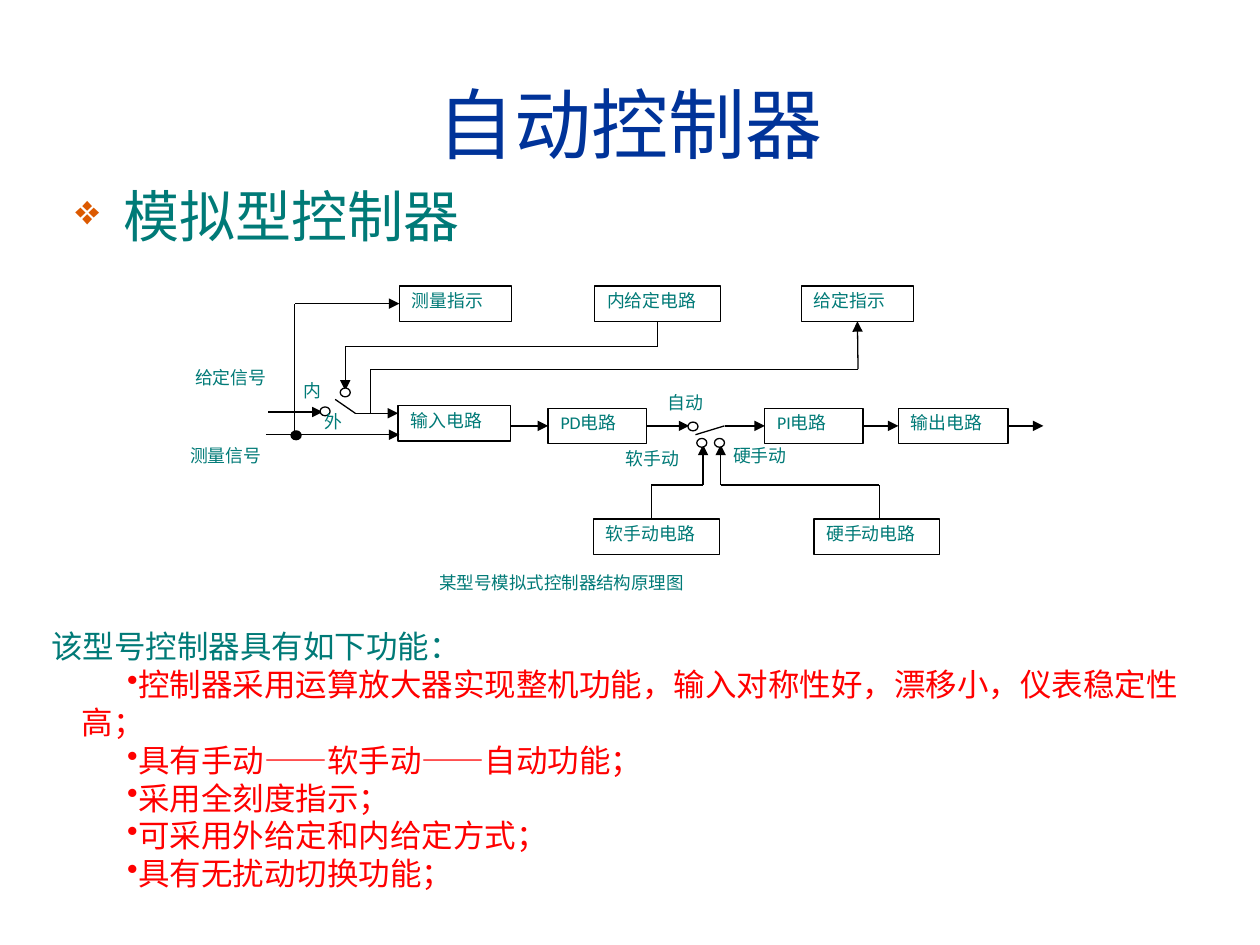
import pptx
import pptx.util
import pptx.dml.color
import pptx.enum.shapes
import pptx.enum.text
import pptx.oxml
import pptx.oxml.ns

# The slide is a grid of 1000 columns by 750 rows; all lengths are in cells
COLS, ROWS = 1000, 750
CELL = pptx.util.Inches(0.01)
TEAL, NAVY, ORANGE, RED = "007A77", "003399", "DC5900", "FF0000"
BLACK, WHITE = "000000", "FFFFFF"
SHAPE = pptx.enum.shapes.MSO_SHAPE
ALIGN = pptx.enum.text.PP_ALIGN
ANCHOR = pptx.enum.text.MSO_ANCHOR
BOX_H = 28


def cells(*values):
    return [round(v * CELL) for v in values]


def color(value):
    return pptx.dml.color.RGBColor.from_string(value)


def add_xml(parent, tag, **attrs):
    el = pptx.oxml.parse_xml(f"<a:{tag} {pptx.oxml.ns.nsdecls('a')}/>")
    for name, value in attrs.items():
        el.set(name, str(value))
    parent.append(el)
    return el


def write(tf, text, size=10.2, font="Calibri", fill=TEAL, align=ALIGN.JUSTIFY,
          spacing=None, bullet=None, bullet_fill=None, bullet_size=None,
          margin=0, indent=0, new=False):
    """Write one paragraph into a text frame."""
    p = tf.add_paragraph() if new else tf.paragraphs[0]
    p.alignment = align
    if spacing:
        p.line_spacing = spacing
    if bullet:
        ppr = p._p.get_or_add_pPr()
        left, first = cells(margin, indent)
        ppr.set("marL", str(left))
        ppr.set("indent", str(first))
        add_xml(add_xml(ppr, "buClr"), "srgbClr", val=bullet_fill)
        if bullet_size:
            add_xml(ppr, "buSzPct", val=bullet_size * 1000)
        add_xml(ppr, "buChar", char=bullet)
    r = p.add_run()
    r.text = text
    r.font.size = pptx.util.Pt(size)
    r.font.name = font
    r.font.color.rgb = color(fill)


def text_box(shapes, x, y, w, h, text, anchor=ANCHOR.TOP, **fmt):
    tf = shapes.add_textbox(*cells(x, y, w, h)).text_frame
    tf.word_wrap = True
    tf.vertical_anchor = anchor
    write(tf, text, **fmt)
    return tf


def outlined(shapes, kind, x, y, w, h, fill=WHITE):
    sp = shapes.add_shape(kind, *cells(x, y, w, h))
    sp.shadow.inherit = False
    sp.fill.solid()
    sp.fill.fore_color.rgb = color(fill)
    sp.line.color.rgb = color(BLACK)
    sp.line.width = pptx.util.Pt(0.75)
    return sp


def block(shapes, x, y, w, text, align=ALIGN.JUSTIFY):
    sp = outlined(shapes, SHAPE.RECTANGLE, x, y, w, BOX_H)
    sp.text_frame.word_wrap = True
    sp.text_frame.vertical_anchor = ANCHOR.TOP
    write(sp.text_frame, text, spacing=0.9, align=align)
    return sp


def contact(shapes, x, y, fill=WHITE):
    outlined(shapes, SHAPE.OVAL, x, y, 8, 7, fill)


def locate(end):
    """Position of an end: grid point (x, y) or (shape, side)."""
    sp, side = end
    if isinstance(sp, int):
        return cells(*end)
    dx, dy = [(0.5, 0), (0, 0.5), (0.5, 1), (1, 0.5)][side]
    return round(sp.left + dx * sp.width), round(sp.top + dy * sp.height)


def wire(shapes, *ends, arrow=True):
    """Chain of straight connectors, with an arrowhead on the last one."""
    for i, (a, b) in enumerate(zip(ends, ends[1:]), start=2):
        cx = shapes.add_connector(pptx.enum.shapes.MSO_CONNECTOR.STRAIGHT,
                                  *locate(a), *locate(b))
        if not isinstance(a[0], int):
            cx.begin_connect(*a)
        if not isinstance(b[0], int):
            cx.end_connect(*b)
        cx.line.color.rgb = color(BLACK)
        cx.line.width = pptx.util.Pt(0.75)
        if arrow and i == len(ends):
            add_xml(cx.line._get_or_add_ln(), "tailEnd", type="triangle")
        add_xml(cx._element.spPr, "effectLst")


def diagram(shapes):
    # Blocks: indicators on top, main chain, manual circuits below
    top, main_row, bottom = 227, 324, 412
    measured = block(shapes, 317, top, 89, "测量指示")
    inner = block(shapes, 472, top, 100, "内给定电路", ALIGN.LEFT)
    given = block(shapes, 636, top, 89, "给定指示")
    block(shapes, 316, main_row - 2, 89, "输入电路")
    pd = block(shapes, 435, main_row, 78, "PD电路")
    pi = block(shapes, 607, main_row, 78, "PI电路")
    output = block(shapes, 713, main_row, 87, "输出电路")
    block(shapes, 471, bottom, 100, "软手动电路", ALIGN.LEFT)
    block(shapes, 646, bottom, 100, "硬手动电路", ALIGN.LEFT)

    # Input signals and indicator wires
    wire(shapes, (211, 345), (317, 345))
    wire(shapes, (282, 328), (316, 328))
    wire(shapes, (213, 327), (256, 327))
    wire(shapes, (234, 345), (234, 241), (measured, 1))
    wire(shapes, (inner, 2), (522, 275), (274, 275), (274, 310))
    wire(shapes, (294, 328), (294, 293), (681, 293), (given, 2))

    # Main chain
    mid = main_row + BOX_H // 2
    wire(shapes, (405, mid), (pd, 1))
    wire(shapes, (pd, 3), (547, mid))
    wire(shapes, (575, mid), (pi, 1))
    wire(shapes, (pi, 3), (output, 1))
    wire(shapes, (output, 3), (828, mid))

    # Manual circuits
    for start, end in ((517, 558), (698, 572)):
        wire(shapes, (start, bottom), (start, 385), (end, 385), (end, 353))

    # Switches and junction
    for x, y in ((270, 308), (254, 323), (546, 335), (553, 348), (567, 348)):
        contact(shapes, x, y)
    wire(shapes, (575, mid), (552, 345), arrow=False)
    wire(shapes, (282, 328), (266, 317), arrow=False)
    contact(shapes, 231, 342, BLACK)

    # Labels
    for x, y, w, text in ((145, 288, 89, "给定信号"), (141, 350, 89, "测量信号"),
                          (231, 298, 34, "内"), (248, 323, 34, "外"),
                          (520, 308, 55, "自动"), (487, 352, 74, "软手动"),
                          (572, 350, 74, "硬手动")):
        text_box(shapes, x, y, w, BOX_H, text, spacing=0.9)
    text_box(shapes, 339, 452, 342, BOX_H, "某型号模拟式控制器结构原理图",
             size=10, spacing=0.8)


def main():
    prs = pptx.Presentation()
    prs.slide_width, prs.slide_height = cells(COLS, ROWS)
    s = prs.slides.add_slide(prs.slide_layouts[6])

    # Headings
    text_box(s.shapes, 16, 54, 969, 87, "自动控制器", anchor=ANCHOR.MIDDLE,
             size=44, font="Arial", fill=NAVY, align=ALIGN.CENTER)
    text_box(s.shapes, 50, 139, 903, 70, "模拟型控制器", size=32, font="Arial",
             align=ALIGN.LEFT, bullet="❖", bullet_fill=ORANGE, bullet_size=75,
             margin=38, indent=-38)

    # Block diagram
    diagram(s.shapes.add_group_shape().shapes)

    # Functions of the controller
    body = dict(size=18, font="Times New Roman", align=ALIGN.LEFT)
    tf = text_box(s.shapes, 31, 493, 922, 220, "该型号控制器具有如下功能：",
                  anchor=ANCHOR.MIDDLE, **body)
    for text in ("控制器采用运算放大器实现整机功能，输入对称性好，漂移小，仪表稳定性高；",
                 "具有手动——软手动——自动功能；",
                 "采用全刻度指示；",
                 "可采用外给定和内给定方式；",
                 "具有无扰动切换功能；"):
        write(tf, text, new=True, fill=RED, bullet="•", bullet_fill=RED,
              margin=24, indent=36, **body)

    prs.save("out.pptx")


if __name__ == "__main__":
    main()
